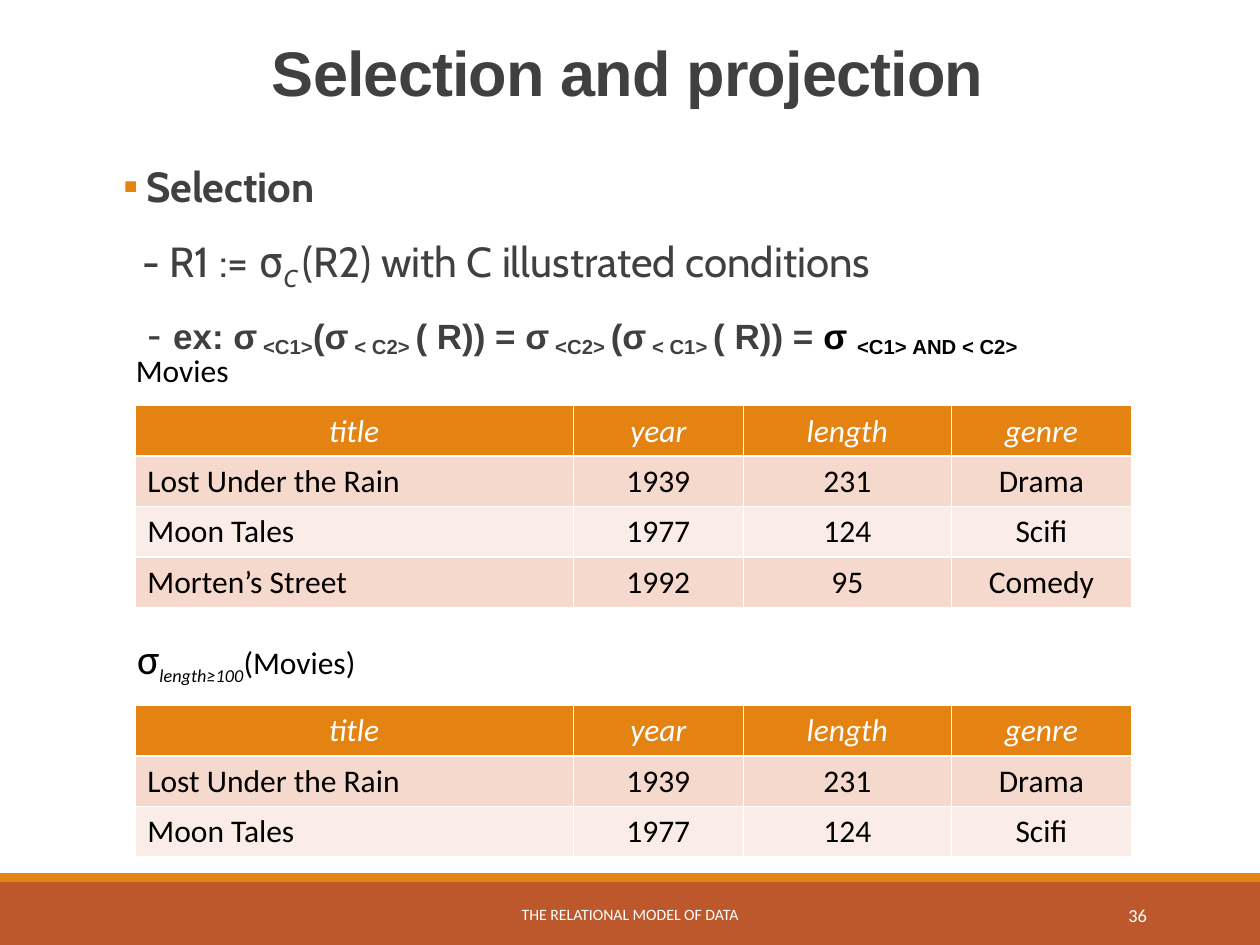
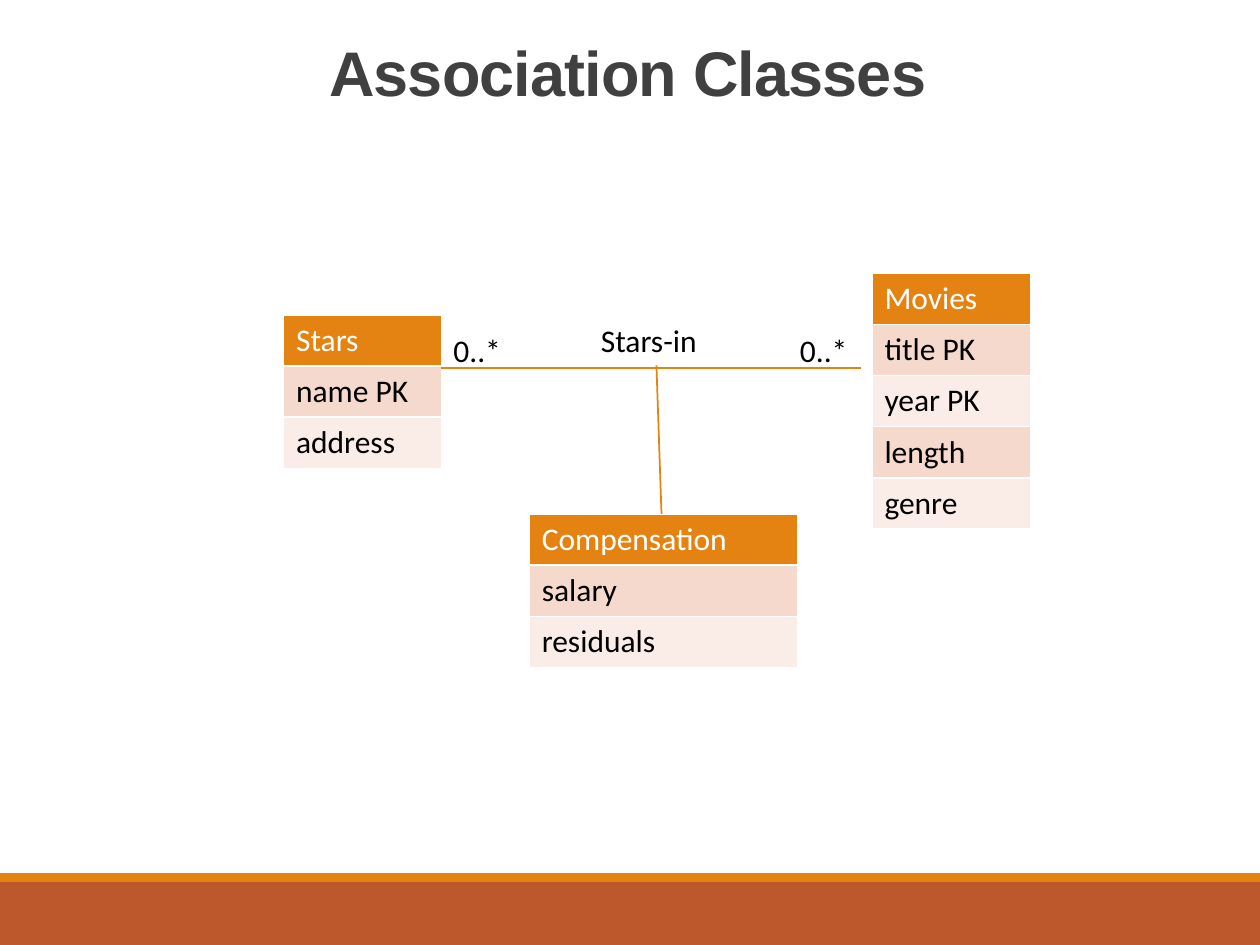
from lxml.etree import SubElement
from pptx import Presentation
from pptx.dml.color import RGBColor
from pptx.enum.shapes import MSO_CONNECTOR, MSO_SHAPE
from pptx.enum.text import MSO_ANCHOR, PP_ALIGN
from pptx.oxml.ns import qn
from pptx.util import Inches, Pt

ORANGE, RUST, WHITE, BLACK, GREY = "E48312", "BD582C", "FFFFFF", "000000", "404040"
ROW_FILLS = ("F5D9CC", "FAEDE7")
ROW_HEIGHT = 0.4


def rgb(value):
    return RGBColor.from_string(value)


def add_color(parent, value):
    SubElement(parent, qn("a:srgbClr"), val=value)


class Deck:
    """Holds the shared style and the slide being built."""

    def __init__(self):
        self.presentation = Presentation()
        self.presentation.slide_width = Inches(10)
        self.presentation.slide_height = Inches(7.5)
        self.slide = None

    def new_slide(self, title):
        layout = self.presentation.slide_layouts[5]
        self.slide = self.presentation.slides.add_slide(layout)
        self.band(7, 0.5, RUST)
        self.band(6.93, 0.07, ORANGE)
        shape = self.slide.shapes.title
        shape.left, shape.top = Inches(0.64), Inches(0.31)
        shape.width, shape.height = Inches(8.68), Inches(1.16)
        frame = shape.text_frame
        frame.vertical_anchor = MSO_ANCHOR.TOP
        paragraph = frame.paragraphs[0]
        paragraph.alignment = PP_ALIGN.CENTER
        paragraph.line_spacing = 0.85
        self.run(paragraph, title, 36, GREY, "Arial", bold=True, spacing=-50)

    def band(self, top, height, color):
        shape = self.slide.shapes.add_shape(
            MSO_SHAPE.RECTANGLE, 0, Inches(top), Inches(10), Inches(height))
        shape.shadow.inherit = False
        shape.fill.solid()
        shape.fill.fore_color.rgb = rgb(color)
        shape.line.fill.background()

    def run(self, paragraph, text, size=18, color=BLACK, font="Calibri",
            bold=False, italic=False, baseline=0, spacing=0):
        run = paragraph.add_run()
        run.text = text
        run.font.size = Pt(size)
        run.font.name = font
        run.font.bold = bold
        run.font.italic = italic
        run.font.color.rgb = rgb(color)
        properties = run._r.get_or_add_rPr()
        if baseline:
            properties.set("baseline", str(baseline * 1000))
        if spacing:
            properties.set("spc", str(spacing))

    def text_box(self, left, top, width, height, anchor=MSO_ANCHOR.TOP):
        box = self.slide.shapes.add_textbox(
            Inches(left), Inches(top), Inches(width), Inches(height))
        frame = box.text_frame
        frame.word_wrap = True
        frame.vertical_anchor = anchor
        return frame

    def label(self, left, top, width, text):
        frame = self.text_box(left, top, width, 0.4)
        self.run(frame.paragraphs[0], text)

    def footer(self, left, width, text, size, alignment):
        frame = self.text_box(left, 7.06, width, 0.4, MSO_ANCHOR.MIDDLE)
        frame.paragraphs[0].alignment = alignment
        self.run(frame.paragraphs[0], text, size, WHITE)

    def body_paragraph(self, paragraph, indent, runs, bullet=None):
        paragraph.line_spacing = 0.9
        paragraph.space_before, paragraph.space_after = Pt(12), Pt(2)
        properties = paragraph._p.get_or_add_pPr()
        properties.set("marL", str(Inches(indent)))
        if bullet:
            properties.set("indent", str(-Inches(indent)))
            add_color(SubElement(properties, qn("a:buClr")), ORANGE)
            SubElement(properties, qn("a:buFont"), typeface="Calibri")
            SubElement(properties, qn("a:buChar"), char=bullet)
        for text, style in runs:
            self.run(paragraph, text, **style)

    def table(self, left, top, widths, rows, header_italic=False):
        table = self.slide.shapes.add_table(
            len(rows), len(widths), Inches(left), Inches(top),
            Inches(sum(widths)), Inches(ROW_HEIGHT * len(rows))).table
        table.horz_banding = False
        for column, width in zip(table.columns, widths):
            column.width = Inches(width)
        for i, row in enumerate(rows):
            table.rows[i].height = Inches(ROW_HEIGHT)
            header = i == 0
            fill = ORANGE if header else ROW_FILLS[(i - 1) % 2]
            for j, text in enumerate(row):
                cell = table.cell(i, j)
                self.borders(cell)
                cell.fill.solid()
                cell.fill.fore_color.rgb = rgb(fill)
                paragraph = cell.text_frame.paragraphs[0]
                if j or (header and len(widths) > 1):
                    paragraph.alignment = PP_ALIGN.CENTER
                self.run(paragraph, text, color=WHITE if header else BLACK,
                         italic=header and header_italic)

    def borders(self, cell):
        properties = cell._tc.get_or_add_tcPr()
        for side in ("L", "R", "T", "B"):
            line = SubElement(properties, qn(f"a:ln{side}"), w=str(Pt(1)))
            add_color(SubElement(line, qn("a:solidFill")), WHITE)

    def line(self, x1, y1, x2, y2):
        connector = self.slide.shapes.add_connector(
            MSO_CONNECTOR.STRAIGHT, Inches(x1), Inches(y1), Inches(x2), Inches(y2))
        connector.line.color.rgb = rgb(ORANGE)
        connector.line.width = Pt(1)
        SubElement(connector._element.spPr, qn("a:effectLst"))


def selection_slide(deck):
    deck.new_slide("Selection and projection")
    frame = deck.text_box(0.98, 1.27, 8.21, 0.92)
    frame.margin_left = frame.margin_right = 0
    cabin = dict(size=24, color=GREY, font="Cabin")
    arial = dict(size=20, color=GREY, font="Arial", bold=True)
    sub = dict(arial, baseline=-16)
    deck.body_paragraph(frame.paragraphs[0], 0.18,
                        [("Selection", dict(cabin, bold=True))], "▪")
    deck.body_paragraph(frame.add_paragraph(), 0.15, [
        ("- R1 := ", cabin),
        ("σ", dict(cabin, font="DejaVu Sans Mono")),
        ("C ", dict(cabin, italic=True, baseline=-25)),
        ("(R2) with C illustrated conditions", cabin)])
    deck.body_paragraph(frame.add_paragraph(), 0.19, [
        ("- ", dict(cabin, font="Arial")),
        ("ex: σ", arial), (" <C1>", sub),
        ("(σ", arial), (" < C2> ", sub),
        ("( R)) = σ", arial), (" <C2> ", sub),
        ("(σ", arial), (" < C1> ", sub),
        ("( R)) = ", arial),
        ("σ ", dict(arial, color=BLACK)),
        ("<C1> AND < C2>", dict(sub, color=BLACK))])

    movies = [("title", "year", "length", "genre"),
              ("Lost Under the Rain", "1939", "231", "Drama"),
              ("Moon Tales", "1977", "124", "Scifi"),
              ("Morten’s Street", "1992", "95", "Comedy")]
    widths = (3.48, 1.35, 1.65, 1.43)
    deck.label(0.98, 2.74, 1, "Movies")
    deck.table(1.07, 3.22, widths, movies, header_italic=True)
    formula = deck.text_box(0.99, 4.97, 2.23, 0.5).paragraphs[0]
    deck.run(formula, "σ", 24)
    deck.run(formula, "length≥100", italic=True, baseline=-25)
    deck.run(formula, "(Movies)")
    deck.table(1.07, 5.6, widths, movies[:3], header_italic=True)
    deck.footer(3.02, 3.96, "THE RELATIONAL MODEL OF DATA", 9, PP_ALIGN.CENTER)
    deck.footer(8.12, 1.08, "36", 10.5, PP_ALIGN.RIGHT)


def association_slide(deck):
    deck.new_slide("Association Classes")
    classes = [
        (2.25, 2.5, 1.26, ("Stars", "name PK", "address")),
        (6.92, 2.17, 1.26, ("Movies", "title PK", "year PK", "length", "genre")),
        (4.2, 4.08, 2.13, ("Compensation", "salary", "residuals"))]
    for left, top, width, names in classes:
        deck.table(left, top, [width], [(name,) for name in names])
    deck.line(3.5, 2.92, 6.83, 2.92)
    deck.line(5.21, 2.9, 5.25, 4.08)
    for left in (3.5, 6.25):
        deck.label(left, 2.58, 0.61, "0..*")
    deck.label(4.67, 2.5, 1.09, "Stars-in")


def main():
    deck = Deck()
    selection_slide(deck)
    association_slide(deck)
    deck.presentation.save("out.pptx")


if __name__ == "__main__":
    main()
